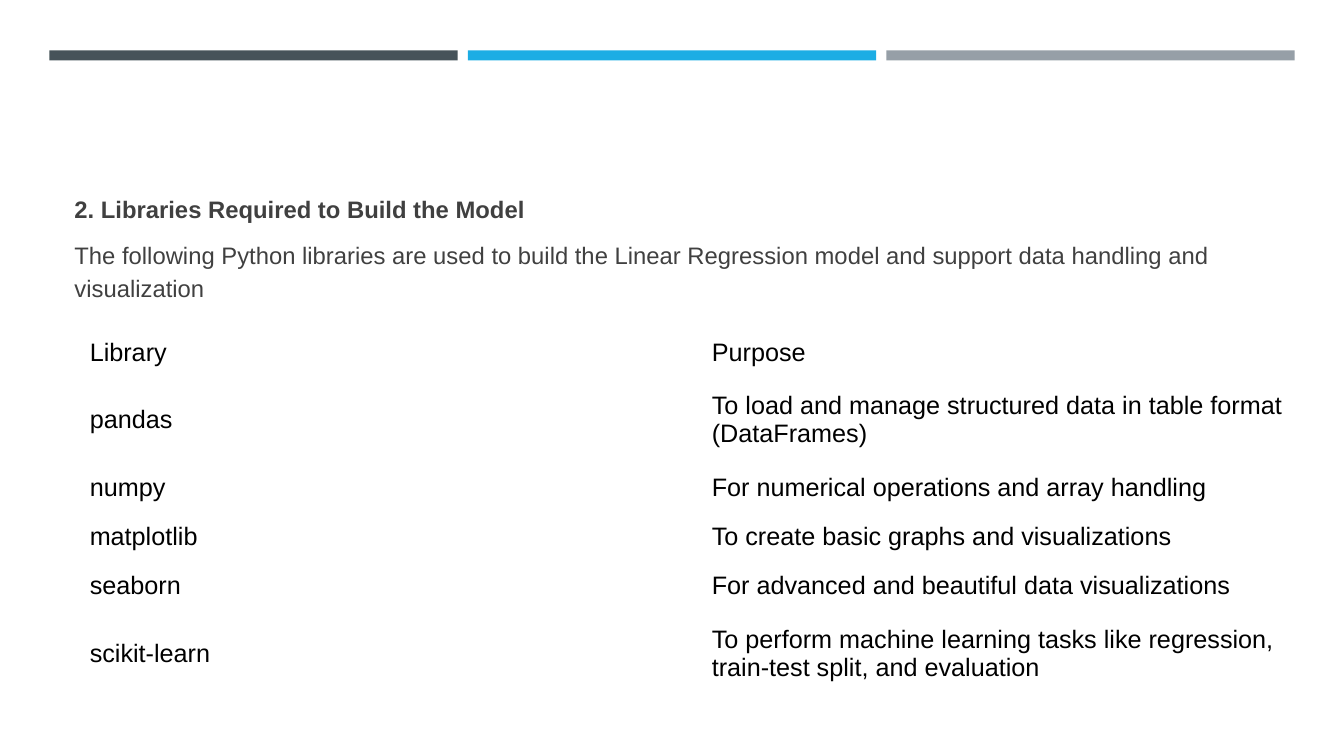
from pptx import Presentation
from pptx.dml.color import RGBColor
from pptx.enum.shapes import MSO_SHAPE
from pptx.enum.text import MSO_ANCHOR
from pptx.util import Inches, Pt

RECTANGLE = MSO_SHAPE.RECTANGLE
TOP, MIDDLE = MSO_ANCHOR.TOP, MSO_ANCHOR.MIDDLE

SLATE = RGBColor(0x46, 0x53, 0x59)
BLUE = RGBColor(0x1C, 0xAD, 0xE4)
SILVER = RGBColor(0x96, 0x9F, 0xA7)
DARK_GRAY = RGBColor(0x40, 0x40, 0x40)
BLACK = RGBColor(0, 0, 0)
FONT = "Arial"

HEADING = "2. Libraries Required to Build the Model"
INTRODUCTION = (
    "The following Python libraries are used to build the Linear Regression "
    "model and support data handling and visualization"
)
LIBRARIES = [
    ("Library", "Purpose"),
    ("pandas", "To load and manage structured data in table format (DataFrames)"),
    ("numpy", "For numerical operations and array handling"),
    ("matplotlib", "To create basic graphs and visualizations"),
    ("seaborn", "For advanced and beautiful data visualizations"),
    ("scikit-learn", "To perform machine learning tasks like regression, "
                     "train-test split, and evaluation"),
]
BAR_COLORS = [SLATE, BLUE, SILVER]
BAR_LEFT, BAR_STEP, BAR_WIDTH = 0.49, 4.15, 4.05
COLUMN_WIDTH = 6.17
ROW_HEIGHT, TALL_ROW_HEIGHT = 0.49, 0.85
ONE_LINE_LENGTH = 50


def write(paragraph, text, size=18, color=BLACK, bold=False, line_spacing=None,
          before=0, after=0):
    paragraph.line_spacing = line_spacing
    paragraph.space_before = Pt(before)
    paragraph.space_after = Pt(after)
    run = paragraph.add_run()
    run.text = text
    run.font.name = FONT
    run.font.size = Pt(size)
    run.font.bold = bold
    run.font.color.rgb = color


def add_bars(slide):
    for index, color in enumerate(BAR_COLORS):
        bar = slide.shapes.add_shape(
            RECTANGLE, Inches(BAR_LEFT + index * BAR_STEP), Inches(0.5),
            Inches(BAR_WIDTH), Inches(0.1))
        bar.shadow.inherit = False
        bar.fill.solid()
        bar.fill.fore_color.rgb = color
        bar.line.fill.background()


def add_introduction(slide):
    box = slide.shapes.add_textbox(
        Inches(0.64), Inches(1.83), Inches(12.06), Inches(1.3))
    frame = box.text_frame
    frame.word_wrap = True
    frame.vertical_anchor = TOP
    body = dict(size=17, color=DARK_GRAY, line_spacing=1.17, before=3, after=6)
    write(frame.paragraphs[0], HEADING, bold=True, **body)
    write(frame.add_paragraph(), INTRODUCTION, **body)


def add_library_table(slide):
    heights = [TALL_ROW_HEIGHT if len(purpose) > ONE_LINE_LENGTH else ROW_HEIGHT
               for _, purpose in LIBRARIES]
    table = slide.shapes.add_table(
        len(LIBRARIES), 2, Inches(0.79), Inches(3.25),
        Inches(2 * COLUMN_WIDTH), Inches(sum(heights))).table
    table.first_row = False
    table.horz_banding = False
    for column in table.columns:
        column.width = Inches(COLUMN_WIDTH)
    for row, height, texts in zip(table.rows, heights, LIBRARIES):
        row.height = Inches(height)
        for cell, text in zip(row.cells, texts):
            cell.fill.background()
            cell.vertical_anchor = MIDDLE
            write(cell.text_frame.paragraphs[0], text)


def main():
    presentation = Presentation()
    presentation.slide_width = Inches(13.33)
    presentation.slide_height = Inches(7.5)
    slide = presentation.slides.add_slide(presentation.slide_layouts[6])
    add_bars(slide)
    add_introduction(slide)
    add_library_table(slide)
    presentation.save("out.pptx")


if __name__ == "__main__":
    main()
